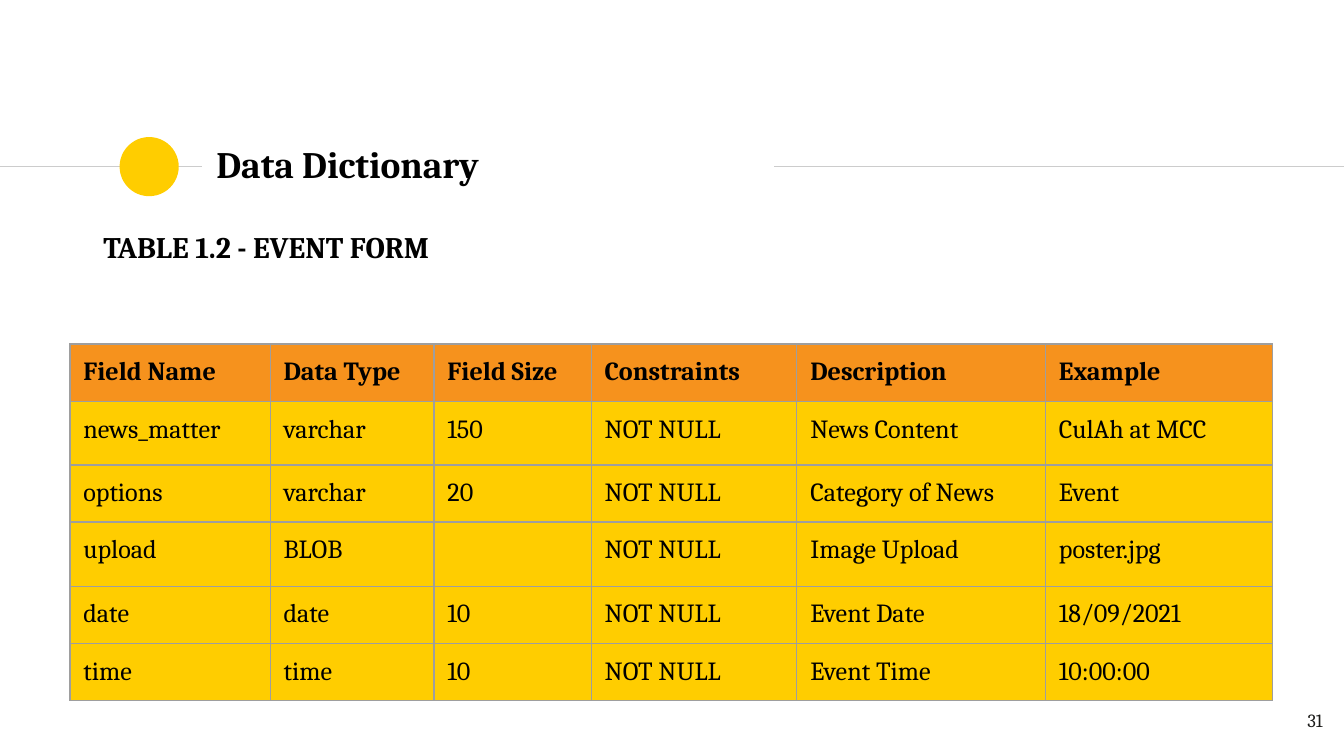
from lxml import etree
from pptx import Presentation
from pptx.dml.color import RGBColor
from pptx.enum import shapes, text
from pptx.oxml import ns
from pptx.util import Inches, Pt

FONT = "Cambria"
BLACK, YELLOW, ORANGE = "000000", "FFCD00", "F6921D"
RULE_GREY, BORDER_GREY = "CCCCCC", "9E9E9E"

COLUMN_WIDTHS = [1.49, 1.22, 1.17, 1.53, 1.85, 1.69]
ROW_HEIGHTS = [0.43, 0.47, 0.42, 0.48, 0.42, 0.42]
FIELDS = [
    ["Field Name", "Data Type", "Field Size", "Constraints", "Description", "Example"],
    ["news_matter", "varchar", "150", "NOT NULL", "News Content", "CulAh at MCC"],
    ["options", "varchar", "20", "NOT NULL", "Category of News", "Event"],
    ["upload", "BLOB", "", "NOT NULL", "Image Upload", "poster.jpg"],
    ["date", "date", "10", "NOT NULL", "Event Date", "18/09/2021"],
    ["time", "time", "10", "NOT NULL", "Event Time", "10:00:00"],
]


def colour(value):
    return RGBColor.from_string(value)


def write(frame, words, size, bold=False, tint=BLACK, align=text.PP_ALIGN.LEFT):
    """Put one formatted paragraph into a text frame."""
    para = frame.paragraphs[0]
    para.text = words
    para.alignment = align
    para.font.name = FONT
    para.font.size = Pt(size)
    para.font.bold = bold
    para.font.color.rgb = colour(tint)


def set_margins(holder, vertical=Inches(0.1)):
    """Set the margins of a text frame or a table cell."""
    holder.margin_left = holder.margin_right = Inches(0.1)
    holder.margin_top = holder.margin_bottom = vertical


def add_label(page, left, top, width, height, words, size, **style):
    box = page.shapes.add_textbox(Inches(left), Inches(top), Inches(width), Inches(height))
    box.text_frame.word_wrap = True
    set_margins(box.text_frame)
    write(box.text_frame, words, size, **style)


def add_rule(page, start, end, y):
    rule = page.shapes.add_connector(
        shapes.MSO_CONNECTOR.STRAIGHT, Inches(start), Inches(y), Inches(end), Inches(y))
    rule.line.color.rgb = colour(RULE_GREY)
    rule.line.width = Pt(0.75)
    etree.SubElement(rule._element.spPr, ns.qn("a:effectLst"))


def add_heading(page, left, top, width, height, words):
    """Title between two rules, with a dot on the left one."""
    middle = top + 0.26
    dot_size = 0.44
    add_rule(page, 0, left - 0.01, middle)
    add_rule(page, left + width + 0.01, 10, middle)

    dot = page.shapes.add_shape(
        shapes.MSO_SHAPE.OVAL, Inches(left - 0.62), Inches(middle - dot_size / 2),
        Inches(dot_size), Inches(dot_size))
    dot.shadow.inherit = False
    dot.fill.solid()
    dot.fill.fore_color.rgb = colour(YELLOW)
    dot.line.fill.background()

    title = page.shapes.title
    title.left, title.top = Inches(left), Inches(top)
    title.width, title.height = Inches(width), Inches(height)
    title.text_frame.vertical_anchor = text.MSO_ANCHOR.MIDDLE
    set_margins(title.text_frame)
    write(title.text_frame, words, 20, bold=True)


def add_borders(cell):
    properties = cell._tc.get_or_add_tcPr()
    for side in ("lnL", "lnR", "lnT", "lnB"):
        line = etree.SubElement(properties, ns.qn(f"a:{side}"), w=str(Pt(0.75)))
        fill = etree.SubElement(line, ns.qn("a:solidFill"))
        etree.SubElement(fill, ns.qn("a:srgbClr"), val=BORDER_GREY)


def add_field_table(page, left, top):
    """Data dictionary with an orange header row."""
    table = page.shapes.add_table(
        len(FIELDS), len(COLUMN_WIDTHS), Inches(left), Inches(top),
        Inches(sum(COLUMN_WIDTHS)), Inches(sum(ROW_HEIGHTS))).table
    for column, width in zip(table.columns, COLUMN_WIDTHS):
        column.width = Inches(width)
    for row, height in zip(table.rows, ROW_HEIGHTS):
        row.height = Inches(height)

    for row_index, values in enumerate(FIELDS):
        header = row_index == 0
        for column_index, value in enumerate(values):
            cell = table.cell(row_index, column_index)
            # Slightly tighter, so that a line of text fits the row height
            set_margins(cell, vertical=Pt(6.9))
            add_borders(cell)
            cell.fill.solid()
            cell.fill.fore_color.rgb = colour(ORANGE if header else YELLOW)
            write(cell.text_frame, value, 14, bold=header)


def main():
    deck = Presentation()
    # Widescreen, 16 to 9
    deck.slide_width = Inches(10)
    deck.slide_height = deck.slide_width * 9 // 16
    page = deck.slides.add_slide(deck.slide_layouts[5])

    add_heading(page, 1.51, 0.98, 4.24, 0.48, "Data Dictionary")
    # Page number
    add_label(page, 9.34, 5.19, 0.6, 0.43, "31", 10,
              tint="1D1D1B", align=text.PP_ALIGN.RIGHT)
    add_field_table(page, 0.52, 2.56)
    # Table caption
    add_label(page, 0.67, 1.6, 3.61, 0.47, "TABLE 1.2 - EVENT FORM", 16, bold=True)

    deck.save("out.pptx")


if __name__ == "__main__":
    main()
